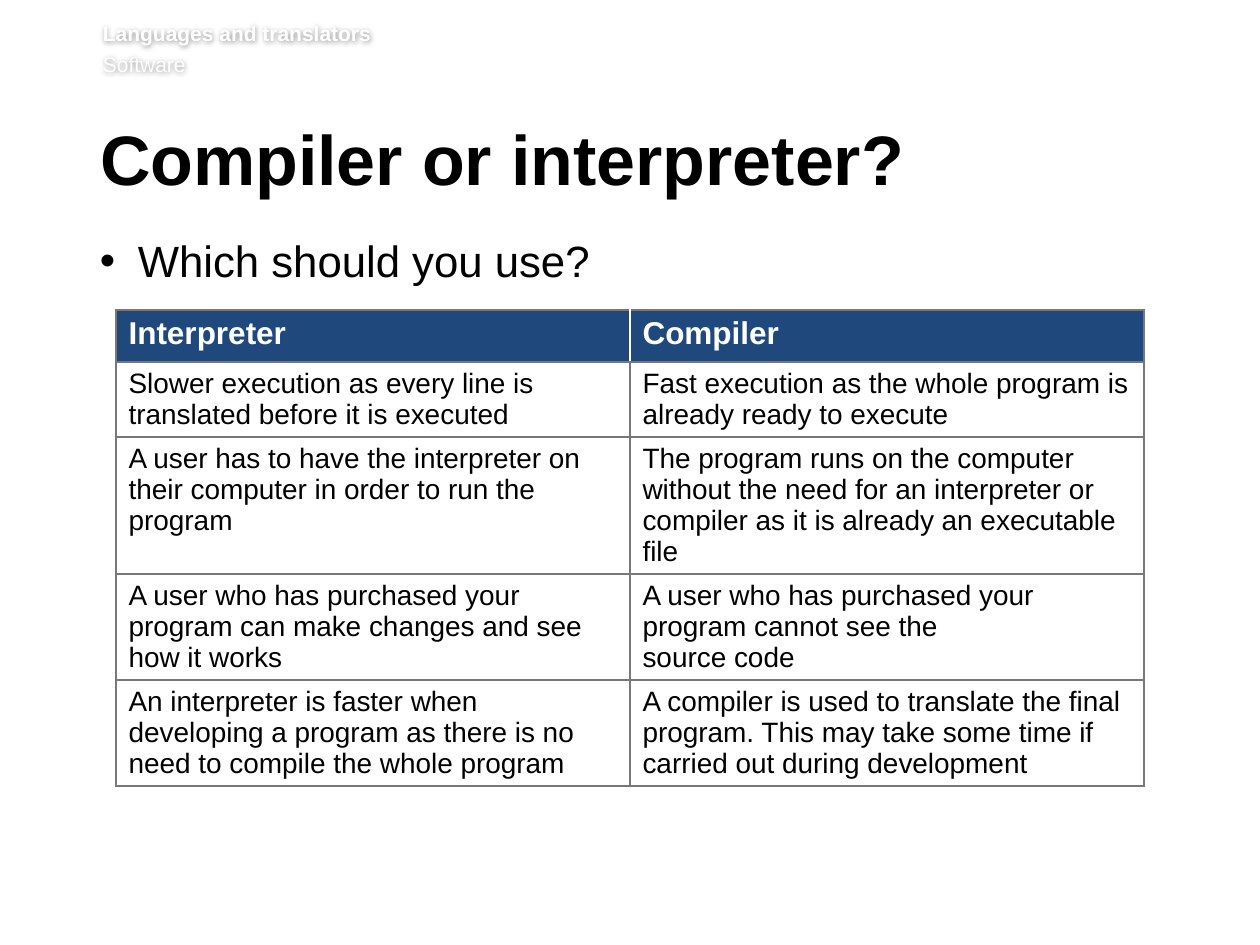
from pptx import Presentation, util as u
from pptx.dml.color import RGBColor
from pptx.enum import text
from pptx.oxml import parse_xml
from pptx.oxml.ns import nsdecls

SCALE = 914400 // 126
FONT = "Arial"
BLACK, WHITE, BLUE, GREY = "000000", "FFFFFF", "1F497D", "787878"

HEAD = [("Languages and translators", True), ("Software", False)]
TITLE = "Compiler or interpreter?"
POINT = "Which should you use?"
ROWS = [
    (52, "Interpreter", "Compiler"),
    (75, "Slower execution as every line is translated before it is executed",
     "Fast execution as the whole program is already ready to execute"),
    (137, "A user has to have the interpreter on their computer in order to run the program",
     "The program runs on the computer without the need for an interpreter or "
     "compiler as it is already an executable file"),
    (106, "A user who has purchased your program can make changes and see how it works",
     "A user who has purchased your program cannot see the \nsource code"),
    (106, "An interpreter is faster when developing a program as there is no need "
     "to compile the whole program",
     "A compiler is used to translate the final program. This may take some time "
     "if carried out during development"),
]


def px(n):
    return u.Emu(n * SCALE)


def color(code):
    return RGBColor.from_string(code)


def write(para, words, size, code, bold=False):
    para.alignment = text.PP_ALIGN.LEFT
    for i, line in enumerate(words.split("\n")):
        if i:
            para.add_line_break()
        run = para.add_run()
        run.text = line
        font = run.font
        font.name, font.size, font.bold = FONT, u.Pt(size), bold
        font.color.rgb = color(code)


def setup(shape, box, pads):
    shape.left, shape.top, shape.width, shape.height = map(px, box)
    frame = shape.text_frame
    frame.word_wrap = True
    frame.auto_size = text.MSO_AUTO_SIZE.NONE
    frame.vertical_anchor = text.MSO_ANCHOR.TOP
    (frame.margin_left, frame.margin_top,
     frame.margin_right, frame.margin_bottom) = map(px, pads)
    return frame


def edge(cell, side, code):
    cell._tc.get_or_add_tcPr().append(parse_xml(
        f'<a:ln{side} {nsdecls("a")} w="12700"><a:solidFill>'
        f'<a:srgbClr val="{code}"/></a:solidFill></a:ln{side}>'))


deck = Presentation()
deck.slide_width, deck.slide_height = px(1260), px(945)
slide = deck.slides.add_slide(deck.slide_layouts[5])
shapes = slide.shapes

head = shapes.add_textbox(0, 0, 0, 0)
frame = setup(head, (103, 21, 1111, 62), (0, 0, 0, 6))
for i, (words, bold) in enumerate(HEAD):
    para = frame.add_paragraph() if i else frame.paragraphs[0]
    para.space_before = u.Pt(2.9)
    write(para, words, 12, WHITE, bold)
head._element.spPr.append(parse_xml(
    f'<a:effectLst {nsdecls("a")}><a:outerShdw blurRad="38100" dist="0" algn="ctr">'
    f'<a:srgbClr val="{BLACK}"><a:alpha val="40000"/></a:srgbClr>'
    '</a:outerShdw></a:effectLst>'))

para = setup(shapes.title, (100, 125, 1077, 92), (0, 6, 13, 6)).paragraphs[0]
para.line_spacing, para.space_after = u.Pt(39), u.Pt(15)
write(para, TITLE, 40, BLACK, True)

body = shapes.add_textbox(0, 0, 0, 0)
para = setup(body, (100, 234, 1075, 711), (0, 0, 13, 6)).paragraphs[0]
para.space_after = u.Pt(14)
write(para, POINT, 25, BLACK)
props = para._p.get_or_add_pPr()
props.set("marL", str(px(38)))
props.set("indent", str(px(-38)))
for tag in (f'buFont {nsdecls("a")} typeface="{FONT}"', f'buChar {nsdecls("a")} char="•"'):
    props.append(parse_xml(f"<a:{tag}/>"))

high = sum(row[0] for row in ROWS)
table = shapes.add_table(len(ROWS), 2, px(116), px(310), px(1028), px(high)).table
table.horz_banding = False
for r, (tall, *cells) in enumerate(ROWS):
    table.rows[r].height = px(tall)
    top = r == 0
    for c, words in enumerate(cells):
        cell = table.cell(r, c)
        write(cell.text_frame.paragraphs[0], words, 18 if top else 16,
              WHITE if top else BLACK, top)
        for side in "LRTB":
            inner = top and side == "RL"[c]
            edge(cell, side, WHITE if inner else GREY)
        cell.fill.solid()
        cell.fill.fore_color.rgb = color(BLUE if top else WHITE)

deck.save("out.pptx")
